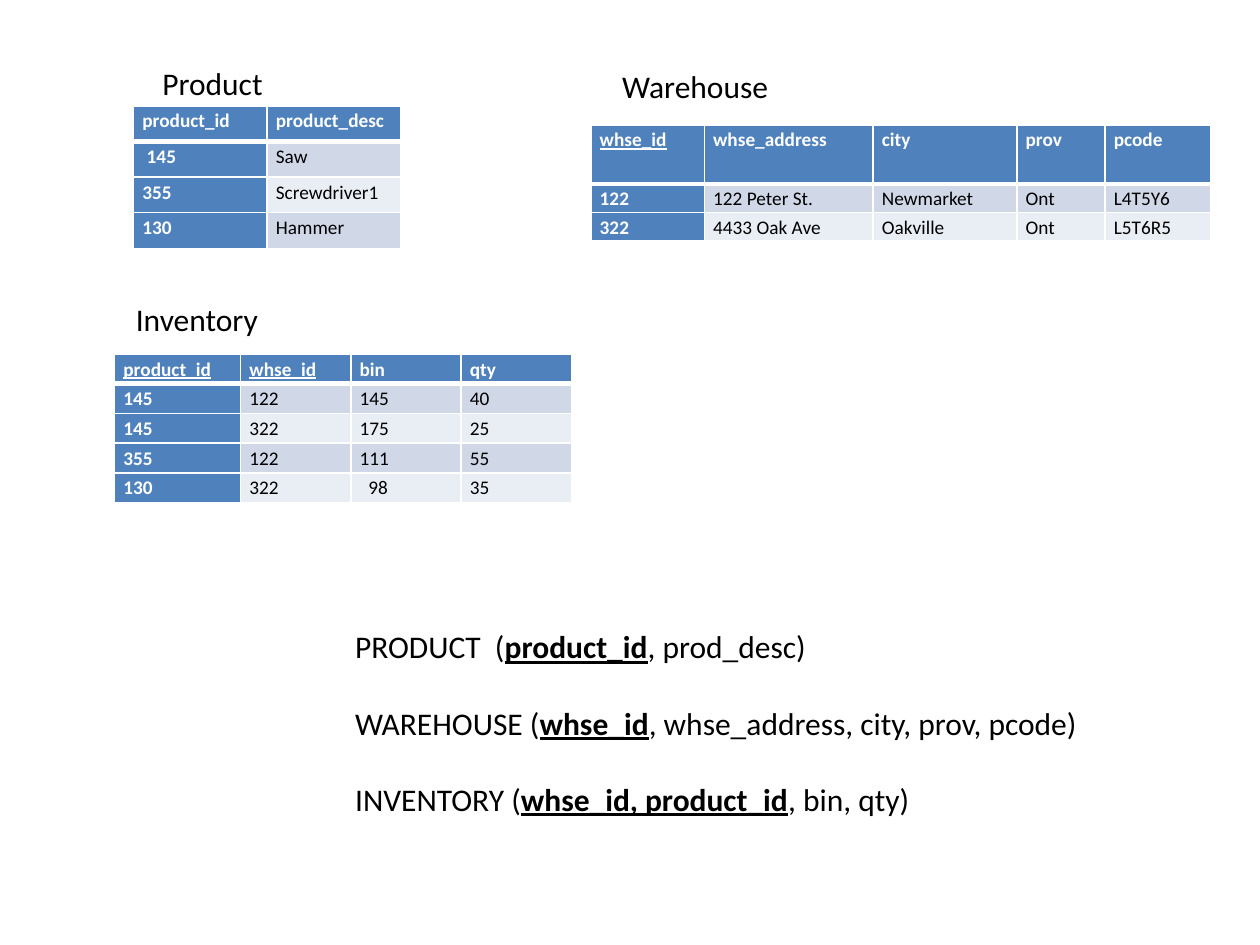
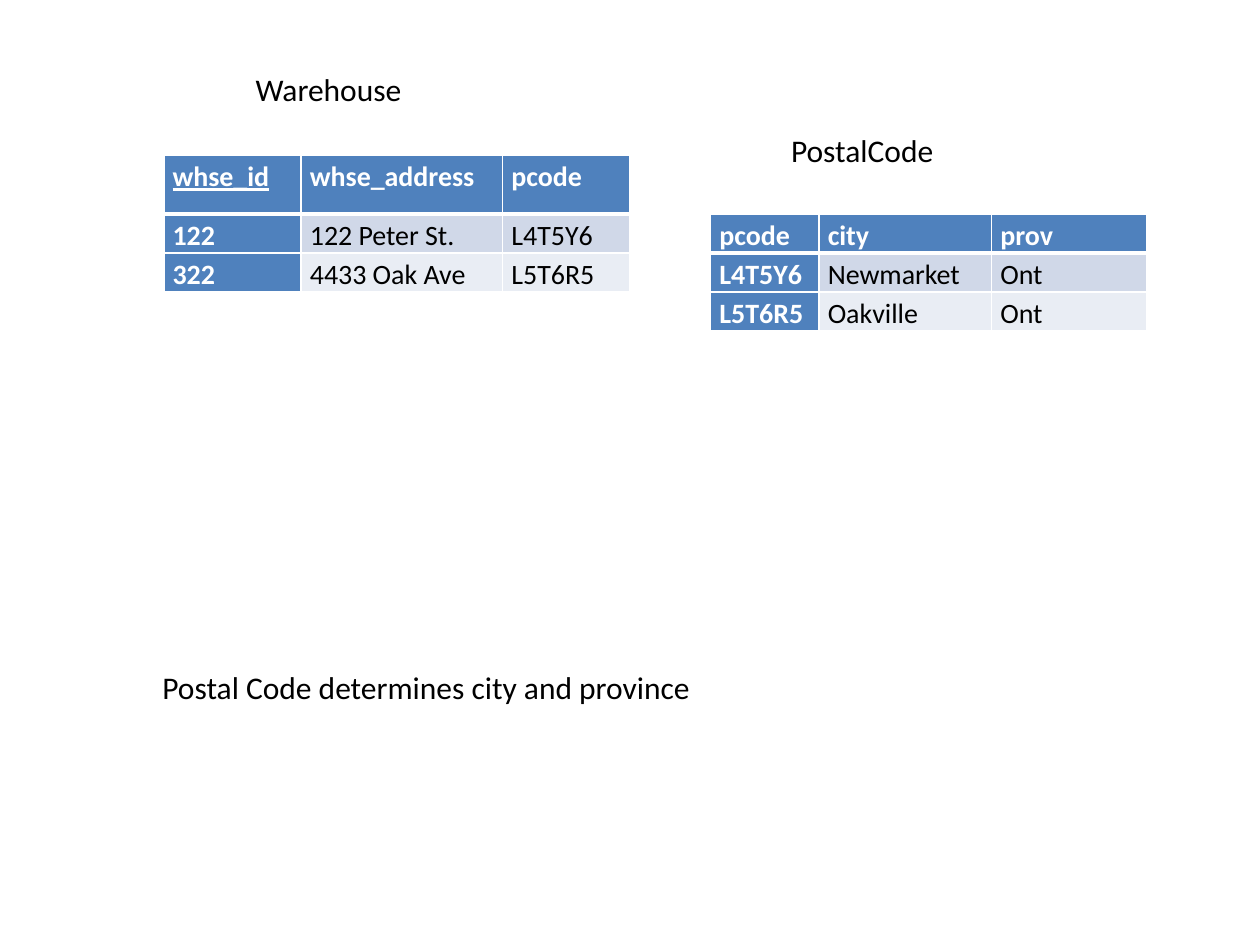
"""Build two slides that show warehouse tables and their relational schemas."""
from dataclasses import dataclass

from lxml import etree
from pptx import Presentation
from pptx import util as u
from pptx.dml import color
from pptx.enum import text
from pptx.oxml import ns


@dataclass(frozen=True)
class Theme:
    """Colours, type sizes and spacing shared by both slides."""
    font: str = "Calibri"
    ink: str = "000000"
    paper: str = "FFFFFF"
    accent: str = "4F81BD"
    bands: tuple = ("D0D8E8", "E9EDF4")
    body: int = 18
    small_cell: int = 11
    large_cell: int = 16
    cell_leading: float = 1.15
    cell_margin: float = 0.7
    rule: int = 1
    header_rule: int = 3
    schema_gap: int = 22


THEME = Theme()
COLUMNS, ROWS = 100, 75
UNIT = u.Inches(10) // COLUMNS


def grid(count):
    """Turn a number of grid columns or rows into a length."""
    return u.Emu(round(count * UNIT))


def add_span(para, words, size, ink=THEME.ink, **marks):
    """Add one formatted run to a paragraph."""
    span = para.add_run()
    span.text = words
    formats = {"name": THEME.font, "size": u.Pt(size), **marks}
    for name, value in formats.items():
        setattr(span.font, name, value)
    span.font.color.rgb = color.RGBColor.from_string(ink)


def add_text(page, left, top, width, height, lines, gap=0):
    """Add a text box; odd parts of each line are bold, underlined keys."""
    box = page.shapes.add_textbox(*map(grid, (left, top, width, height)))
    frame = box.text_frame
    frame.word_wrap = False
    frame.auto_size = text.MSO_AUTO_SIZE.SHAPE_TO_FIT_TEXT
    for index, parts in enumerate(lines):
        para = frame.add_paragraph() if index else frame.paragraphs[0]
        para.space_before = u.Pt(gap if index else 0)
        for position, words in enumerate(parts):
            marks = {"bold": True, "underline": True} if position % 2 else {}
            add_span(para, words, THEME.body, **marks)


def add_label(page, left, top, width, words):
    """Add a one-line label."""
    add_text(page, left, top, width, 4, [[words]])


def set_borders(cell, row):
    """Rule a cell in white, with a heavy line below the header."""
    sides = {"L": THEME.rule, "R": THEME.rule,
             "T": THEME.header_rule if row == 1 else THEME.rule,
             "B": THEME.header_rule if row == 0 else THEME.rule}
    properties = cell._tc.get_or_add_tcPr()
    for side, weight in sides.items():
        line = etree.SubElement(properties, ns.qn(f"a:ln{side}"), w=str(u.Pt(weight)))
        fill = etree.SubElement(line, ns.qn("a:solidFill"))
        etree.SubElement(fill, ns.qn("a:srgbClr"), val=THEME.paper)


def style_cell(cell, row, column, words, size, is_key, indent):
    """Write and format one cell according to its place in the table."""
    strong = row == 0 or column == 0
    margins = {"margin_left": THEME.cell_margin + indent, "margin_top": 0,
               "margin_right": THEME.cell_margin, "margin_bottom": 0}
    for name, value in margins.items():
        setattr(cell, name, grid(value))
    set_borders(cell, row)
    cell.fill.solid()
    tint = THEME.accent if strong else THEME.bands[(row - 1) % 2]
    cell.fill.fore_color.rgb = color.RGBColor.from_string(tint)
    para = cell.text_frame.paragraphs[0]
    para.line_spacing = THEME.cell_leading
    add_span(para, words, size, THEME.paper if strong else THEME.ink,
             bold=strong, underline=is_key)


def add_grid_table(page, left, top, widths, heights, records, size, keys=0, indents=None):
    """Add a table whose first `keys` headings are underlined."""
    frame = page.shapes.add_table(len(records), len(widths), grid(left), grid(top),
                                  grid(sum(widths)), grid(sum(heights)))
    table = frame.table
    table.first_row = table.horz_banding = False
    for column, width in zip(table.columns, widths):
        column.width = grid(width)
    for line, height in zip(table.rows, heights):
        line.height = grid(height)
    for row, record in enumerate(records):
        for column, words in enumerate(record):
            style_cell(table.cell(row, column), row, column, words, size,
                       row == 0 and column < keys, (indents or {}).get((row, column), 0))


def build_relations(page):
    """Show the three relations and their schemas."""
    add_grid_table(page, 10.6, 8.4, [10.6] * 2, [2.83] * 4, [
        ("product_id", "product_desc"),
        ("145", "Saw"),
        ("355", "Screwdriver1"),
        ("130", "Hammer"),
    ], THEME.small_cell, indents={(1, 0): 0.35})
    add_grid_table(page, 4.69 * 10, 9.9, [9, 13.4, 11.4, 7, 8.4], [4.7, 2.25, 2.25], [
        ("whse_id", "whse_address", "city", "prov", "pcode"),
        ("122", "122 Peter St.", "Newmarket", "Ont", "L4T5Y6"),
        ("322", "4433 Oak Ave", "Oakville", "Ont", "L5T6R5"),
    ], THEME.small_cell, keys=1)
    add_grid_table(page, 9.1, 28.1, [10] + [8.75] * 3, [2.36] * 5, [
        ("product_id", "whse_id", "bin", "qty"),
        ("145", "122", "145", "40"),
        ("145", "322", "175", "25"),
        ("355", "122", "111", "55"),
        ("130", "322", "98", "35"),
    ], THEME.small_cell, keys=2, indents={(4, 2): 0.7})
    add_label(page, 9.8, 23.3, 11.8, "Inventory")
    add_label(page, 48.4, 4.8, 13.7, "Warehouse")
    add_label(page, 11.9, 4.6, 10.1, "Product")
    add_text(page, 27.2, 49.3, 59.9, 16.2, [
        ("PRODUCT  (", "product_id", ", prod_desc)"),
        ("WAREHOUSE (", "whse_id", ", whse_address, city, prov, pcode)"),
        ("INVENTORY (", "whse_id, product_id", ", bin, qty)"),
    ], gap=THEME.schema_gap)


def build_postal_codes(page):
    """Show the warehouse table split by postal code."""
    add_grid_table(page, 13, 12.3, [10.9, 16, 10.1], [4.7, 3.08, 3.08], [
        ("whse_id", "whse_address", "pcode"),
        ("122", "122 Peter St.", "L4T5Y6"),
        ("322", "4433 Oak Ave", "L5T6R5"),
    ], THEME.large_cell, keys=1)
    add_label(page, 19.3, 5.1, 13.7, "Warehouse")
    add_label(page, 11.9, 52.5, 44.4, "Postal Code determines city and province")
    add_grid_table(page, 56.4, 17, [8.6, 13.7, 12.3], [3.08] * 3, [
        ("pcode", "city", "prov"),
        ("L4T5Y6", "Newmarket", "Ont"),
        ("L5T6R5", "Oakville", "Ont"),
    ], THEME.large_cell)
    add_label(page, 61.8, 9.9, 13.4, "PostalCode")


def main():
    """Create the deck and save it."""
    deck = Presentation()
    deck.slide_width, deck.slide_height = grid(COLUMNS), grid(ROWS)
    for build in (build_relations, build_postal_codes):
        build(deck.slides.add_slide(deck.slide_layouts[6]))
    deck.save("out.pptx")


if __name__ == "__main__":
    main()
